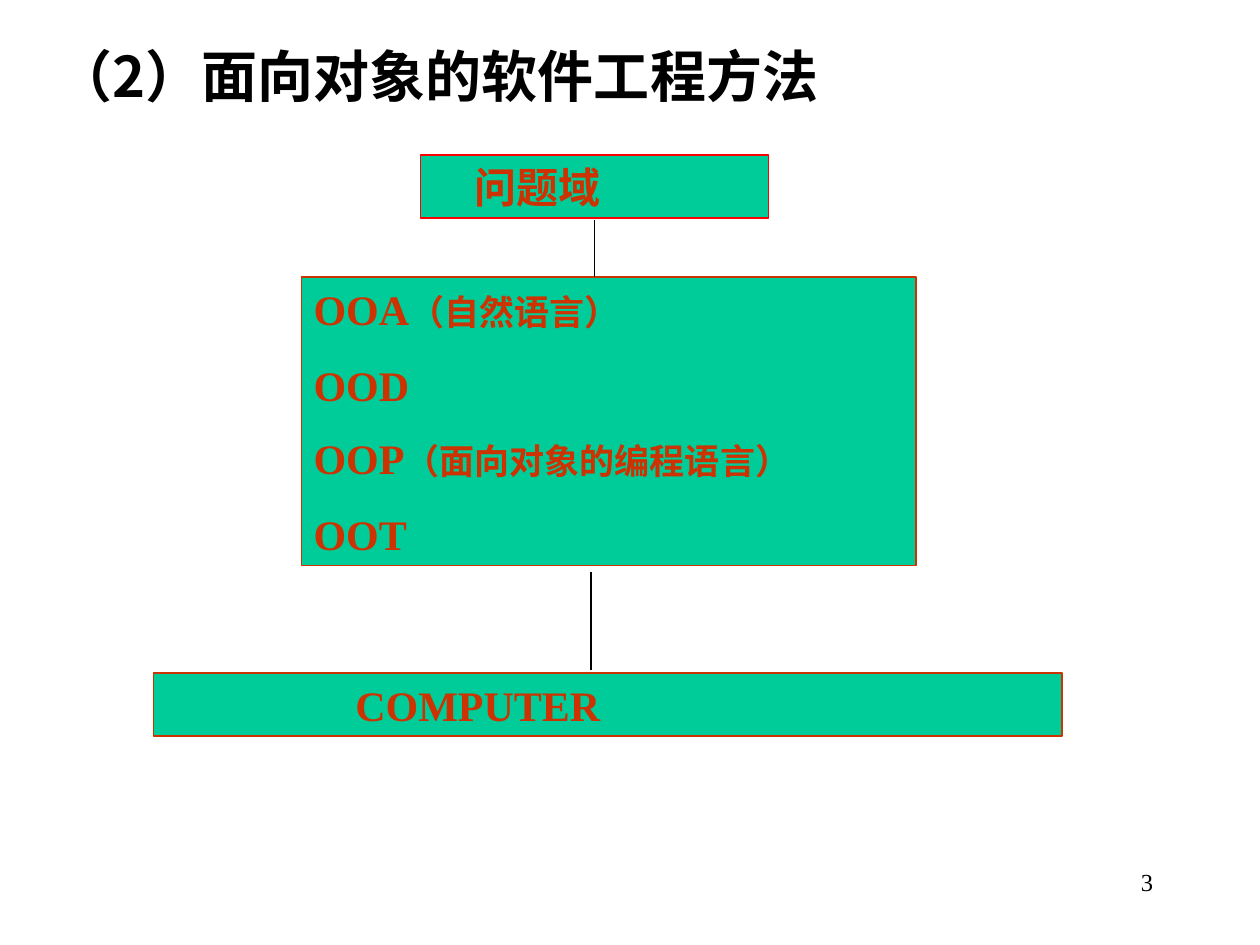
"""Build the slide on the object-oriented software engineering method."""
from lxml import etree
from pptx import Presentation
from pptx import util as u
from pptx.dml.color import RGBColor
from pptx.enum import shapes, text
from pptx.oxml.ns import qn

GREEN = RGBColor(0x00, 0xCC, 0x99)
RUST = RGBColor(0xCC, 0x33, 0x00)
RED = RGBColor(0xFF, 0x00, 0x00)
BLACK = RGBColor(0x00, 0x00, 0x00)
SERIF = "Times New Roman"
SANS = "Noto Sans CJK SC"

deck = Presentation()
deck.slide_width, deck.slide_height = u.Inches(10), u.Inches(7.5)
COL, ROW = deck.slide_width / 100, deck.slide_height / 100
slide = deck.slides.add_slide(deck.slide_layouts[5])


def area(left, top, width, height):
    return int(left * COL), int(top * ROW), int(width * COL), int(height * ROW)


def style(run, size, color=RUST, latin=SERIF, bold=True):
    run.font.size, run.font.bold, run.font.name = u.Pt(size), bold, latin
    run.font.color.rgb = color
    etree.SubElement(run._r.get_or_add_rPr(), qn("a:ea")).set("typeface", SANS)


stages = [
    (area(33.4, 16.4, 27.6, 6.67), RED, 3.3, [("", "问题域")]),
    (area(23.9, 29.33, 48.8, 30.53), RUST, 0,
     [("OOA", "（自然语言）"), ("OOD", ""), ("OOP", "（面向对象的编程语言）"), ("OOT", "")]),
    (area(12.2, 71.2, 72.1, 6.67), RUST, 15, [("COMPUTER", "")]),
]
for place, border, indent, entries in stages:
    stage = slide.shapes.add_shape(shapes.MSO_SHAPE.RECTANGLE, *place)
    stage.shadow.inherit = False
    stage.fill.solid()
    stage.fill.fore_color.rgb = GREEN
    stage.line.color.rgb = border
    stage.line.width = u.Pt(0.75)
    frame = stage.text_frame
    frame.word_wrap = True
    frame.vertical_anchor = text.MSO_ANCHOR.TOP
    frame.margin_left = int((1 + indent) * COL)
    for number, (term, note) in enumerate(entries):
        entry = frame.add_paragraph() if number else frame.paragraphs[0]
        entry.alignment = text.PP_ALIGN.LEFT
        if number:
            entry.space_before = u.Pt(12.5 if note else 15)
        for wording, size in ((term, 24), (note, 20 if term else 24)):
            if wording:
                run = entry.add_run()
                run.text = wording
                style(run, size)

for across, start, end in ((47.2, 23.33, 29.33), (46.9, 60.53, 70.93)):
    link = slide.shapes.add_connector(
        shapes.MSO_CONNECTOR.STRAIGHT,
        int(across * COL), int(start * ROW), int(across * COL), int(end * ROW))
    link.line.color.rgb = BLACK
    link.line.width = u.Pt(0.75)
    etree.SubElement(link._element.spPr, qn("a:effectLst"))

heading = slide.shapes.title
heading.left, heading.top, heading.width, heading.height = area(3.5, 3.73, 88.3, 8.53)
page = slide.shapes.add_textbox(*area(71.7, 91.07, 20.8, 6.67))
for holder, wording, size, latin, bold, side in (
        (heading, "（2）面向对象的软件工程方法", 32, SANS, True, text.PP_ALIGN.LEFT),
        (page, "3", 14, SERIF, False, text.PP_ALIGN.RIGHT)):
    frame = holder.text_frame
    frame.text = wording
    frame.word_wrap = True
    frame.auto_size = text.MSO_AUTO_SIZE.NONE
    frame.vertical_anchor = text.MSO_ANCHOR.TOP
    frame.paragraphs[0].alignment = side
    style(frame.paragraphs[0].runs[0], size, BLACK, latin, bold)

deck.save("out.pptx")
